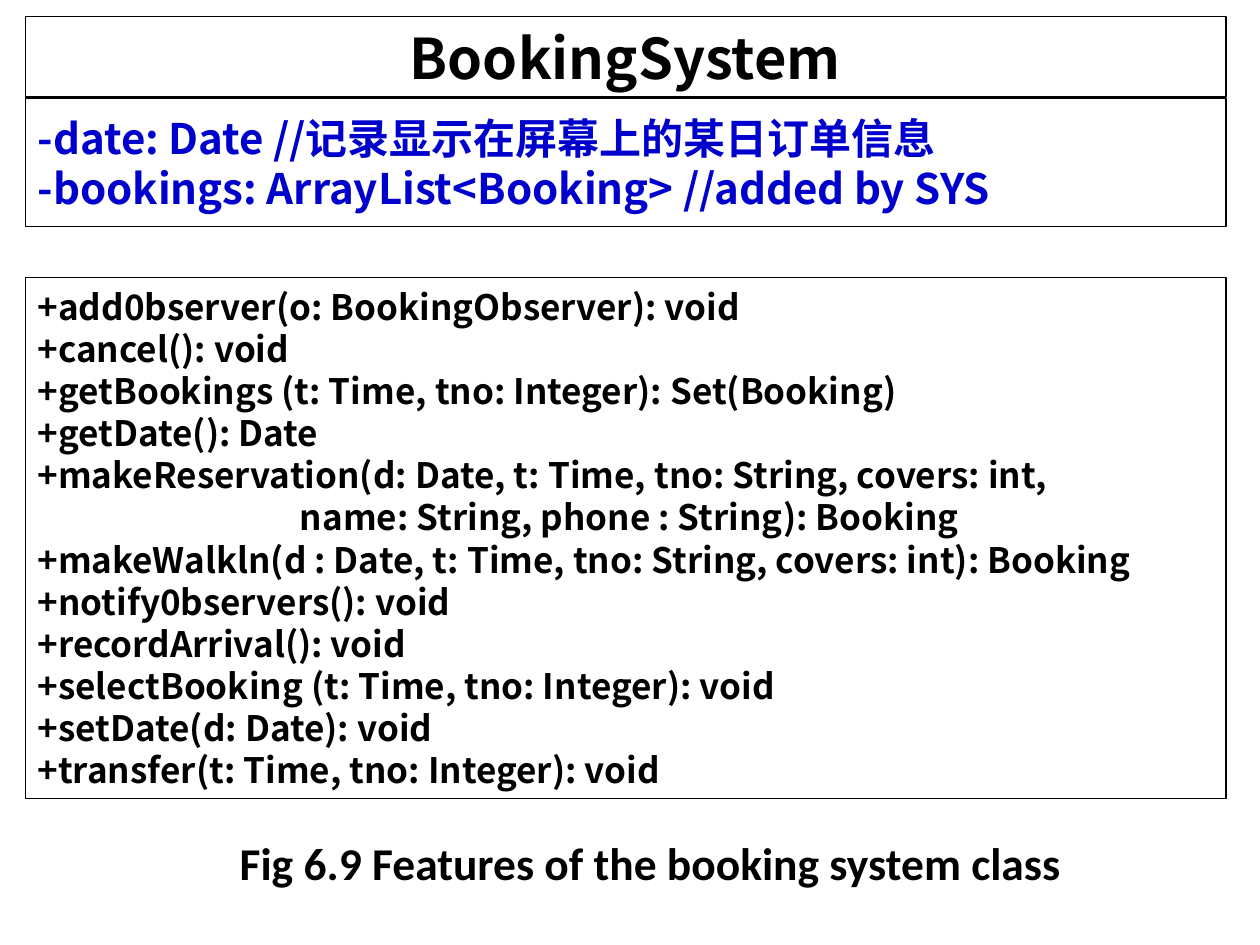
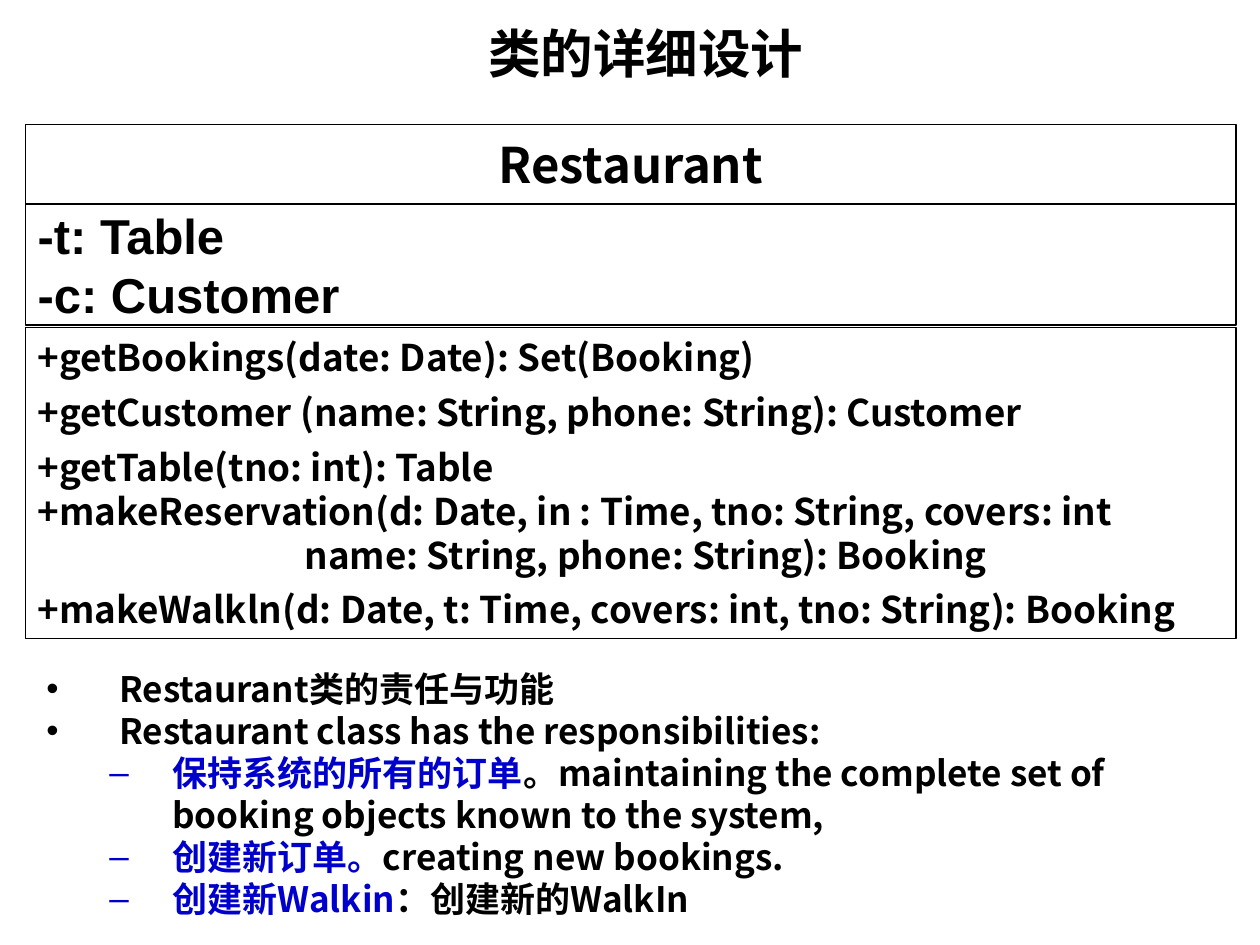
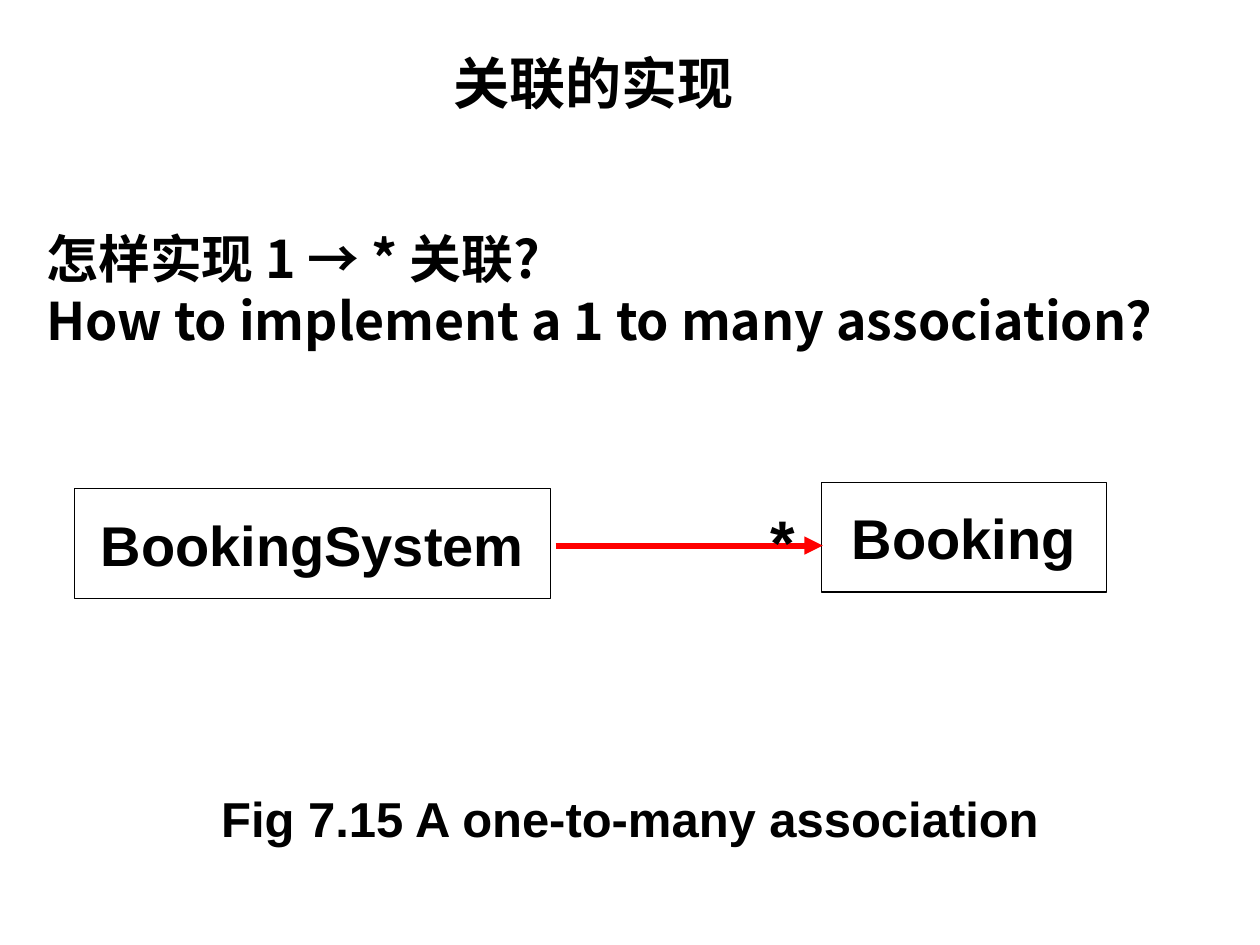
from lxml.etree import SubElement
from pptx import Presentation
from pptx.dml.color import RGBColor
from pptx.enum.shapes import MSO_CONNECTOR as CONNECTOR, MSO_SHAPE as SHAPE
from pptx.enum.text import MSO_ANCHOR as ANCHOR, MSO_AUTO_SIZE as AUTO_SIZE, PP_ALIGN as ALIGN
from pptx.oxml.ns import qn
from pptx.util import Inches, Pt

BLACK = RGBColor(0x00, 0x00, 0x00)
WHITE = RGBColor(0xFF, 0xFF, 0xFF)
BLUE = RGBColor(0x00, 0x00, 0xCC)
RED = RGBColor(0xFF, 0x00, 0x00)
CJK = "Noto Sans CJK SC"
LATIN = "Arial"
CAPTION = "Calibri"
LINE_PITCH = 1.2


def add_line(frame, spans, size, face=CJK, align=ALIGN.LEFT, spacing=None):
    paragraph = frame.paragraphs[0]
    if paragraph.runs:
        paragraph = frame.add_paragraph()
    paragraph.alignment = align
    if spacing:
        paragraph.line_spacing = spacing
    for text, color in spans:
        span = paragraph.add_run()
        span.text = text
        span.font.size = Pt(size)
        span.font.bold = True
        span.font.color.rgb = color
        span.font.name = face
        SubElement(span._r.get_or_add_rPr(), qn("a:ea")).set("typeface", face)
    return paragraph


def add_box(page, area, outlined=True):
    left, top, width, height = [Inches(value) for value in area]
    if outlined:
        box = page.shapes.add_shape(SHAPE.RECTANGLE, left, top, width, height)
        box.shadow.inherit = False
        box.fill.solid()
        box.fill.fore_color.rgb = WHITE
        box.line.color.rgb = BLACK
        box.line.width = Pt(0.75)
    else:
        box = page.shapes.add_textbox(left, top, width, height)
    frame = box.text_frame
    frame.word_wrap = True
    frame.vertical_anchor = ANCHOR.MIDDLE if outlined else ANCHOR.TOP
    return frame


deck = Presentation()
deck.slide_width = Inches(10)
deck.slide_height = Inches(7.5)
title_layout = deck.slide_layouts[5]
blank_layout = deck.slide_layouts[6]

system_page = deck.slides.add_slide(blank_layout)
name_frame = add_box(system_page, (0.2, 0.13, 9.53, 0.64))
add_line(name_frame, [("BookingSystem", BLACK)], 32, align=ALIGN.CENTER)

method_frame = add_box(system_page, (0.2, 2.2, 9.53, 4.14))
for method in [
    "+add0bserver(o: BookingObserver): void",
    "+cancel(): void",
    "+getBookings (t: Time, tno: Integer): Set(Booking)",
    "+getDate(): Date",
    "+makeReservation(d: Date, t: Time, tno: String, covers: int,",
    "                                 name: String, phone : String): Booking",
    "+makeWalkln(d : Date, t: Time, tno: String, covers: int): Booking",
    "+notify0bservers(): void",
    "+recordArrival(): void",
    "+selectBooking (t: Time, tno: Integer): void",
    "+setDate(d: Date): void",
    "+transfer(t: Time, tno: Integer): void",
]:
    add_line(method_frame, [(method, BLACK)], 20, spacing=Pt(20 * LINE_PITCH))

field_frame = add_box(system_page, (0.2, 0.78, 9.53, 1.02))
for field in [
    "-date: Date //记录显示在屏幕上的某日订单信息",
    "-bookings: ArrayList<Booking> //added by SYS",
]:
    add_line(field_frame, [(field, BLUE)], 24, spacing=Pt(24 * LINE_PITCH))

caption_frame = add_box(system_page, (1.3, 6.66, 7.73, 0.51), outlined=False)
caption = "Fig 6.9 Features of the booking system class"
add_line(caption_frame, [(caption, BLACK)], 26, CAPTION, ALIGN.CENTER, 0.8)

restaurant_page = deck.slides.add_slide(title_layout)
association_page = deck.slides.add_slide(title_layout)
for page, text, size, area in [
    (restaurant_page, "类的详细设计", 30, (3.11, -0.01, 4.03, 0.85)),
    (association_page, "关联的实现", 32, (2.31, 0.38, 4.81, 0.54)),
]:
    title = page.shapes.title
    title.left, title.top, title.width, title.height = [Inches(value) for value in area]
    title.text_frame.auto_size = AUTO_SIZE.NONE
    title.text_frame.vertical_anchor = ANCHOR.MIDDLE
    add_line(title.text_frame, [(text, BLACK)], size, align=ALIGN.CENTER)

duty_frame = add_box(restaurant_page, (0.27, 5.25, 9.5, 2.05), outlined=False)
for level, spans in [
    (0, [("Restaurant类的责任与功能", BLACK)]),
    (0, [("Restaurant class has the responsibilities:", BLACK)]),
    (1, [
        ("保持系统的所有的订单", BLUE),
        ("。maintaining the complete set of booking objects known to the system,", BLACK),
    ]),
    (1, [("创建新订单。", BLUE), ("creating new bookings.", BLACK)]),
    (1, [("创建新Walkin", BLUE), ("：创建新的WalkIn", BLACK)]),
]:
    paragraph = add_line(duty_frame, spans, 20, spacing=Pt(20 * LINE_PITCH))
    paragraph.level = level
    margin, hanging, bullet = [(0.58, 0.58, "•"), (1, 0.5, "–")][level]
    properties = paragraph._p.get_or_add_pPr()
    properties.set("marL", str(Inches(margin)))
    properties.set("indent", str(-Inches(hanging)))
    SubElement(properties, qn("a:buFont")).set("typeface", LATIN)
    SubElement(properties, qn("a:buChar")).set("char", bullet)

name_frame = add_box(restaurant_page, (0.2, 0.99, 9.61, 0.63))
add_line(name_frame, [("Restaurant", BLACK)], 28, align=ALIGN.CENTER)

method_frame = add_box(restaurant_page, (0.2, 2.6, 9.61, 2.47))
for method, space in [
    ("+getBookings(date: Date): Set(Booking)", 0),
    ("+getCustomer (name: String, phone: String): Customer", 6),
    ("+getTable(tno: int): Table", 6),
    ("+makeReservation(d: Date, in : Time, tno: String, covers: int", 0),
    ("                                name: String, phone: String): Booking", 0),
    ("+makeWalkln(d: Date, t: Time, covers: int, tno: String): Booking", 6),
]:
    paragraph = add_line(method_frame, [(method, BLACK)], 21, spacing=Pt(21 * LINE_PITCH))
    paragraph.space_before = Pt(space)

field_frame = add_box(restaurant_page, (0.2, 1.62, 9.61, 0.96))
for field in ["-t: Table", "-c: Customer"]:
    add_line(field_frame, [(field, BLACK)], 28, LATIN, spacing=Pt(28 * LINE_PITCH))

question_frame = add_box(association_page, (0.27, 1.75, 9.5, 1.29), outlined=False)
for question in ["怎样实现 1 → * 关联?", "How to implement a 1 to many association?"]:
    add_line(question_frame, [(question, BLACK)], 29.6, spacing=Pt(29.6 * LINE_PITCH))

for name, area in [
    ("Booking", (6.52, 3.83, 2.26, 0.87)),
    ("BookingSystem", (0.59, 3.88, 3.78, 0.87)),
]:
    class_frame = add_box(association_page, area)
    add_line(class_frame, [(name, BLACK)], 32, LATIN, ALIGN.CENTER)

arrow = association_page.shapes.add_connector(
    CONNECTOR.STRAIGHT, Inches(4.41), Inches(4.33), Inches(6.53), Inches(4.33)
)
arrow.line.color.rgb = RED
arrow.line.width = Pt(3.5)
SubElement(arrow.line._get_or_add_ln(), qn("a:tailEnd")).set("type", "triangle")
SubElement(arrow._element.spPr, qn("a:effectLst"))

many_frame = add_box(association_page, (6.02, 3.94, 0.39, 0.7), outlined=False)
add_line(many_frame, [("*", BLACK)], 36, LATIN)

caption_frame = add_box(association_page, (0.5, 6.3, 9, 0.43), outlined=False)
caption = "Fig 7.15 A one-to-many association"
add_line(caption_frame, [(caption, BLACK)], 28, LATIN, ALIGN.CENTER, 0.8)

deck.save("out.pptx")
